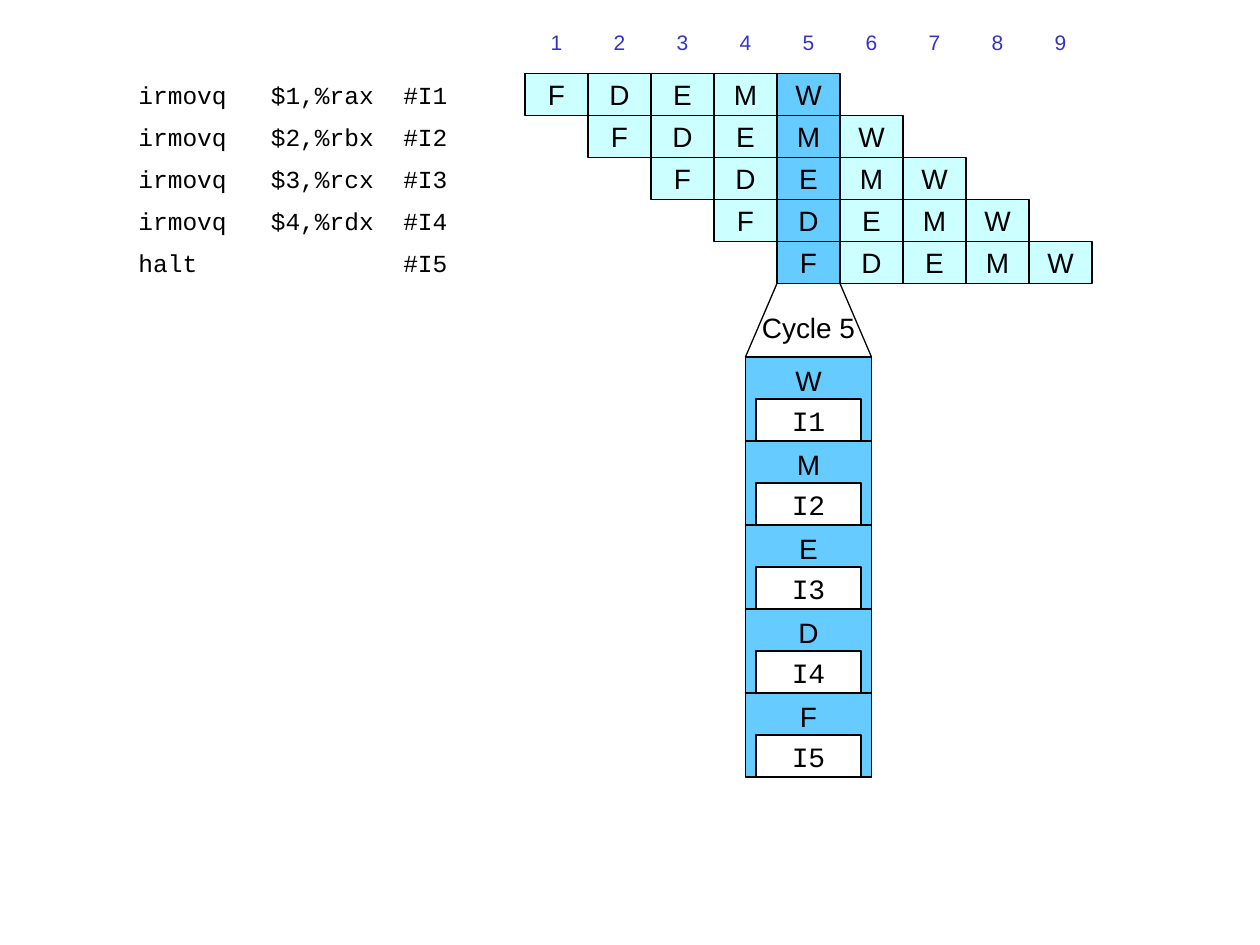
from dataclasses import dataclass
from lxml.etree import SubElement
from pptx import Presentation
from pptx.dml.color import RGBColor
from pptx.enum.shapes import MSO_CONNECTOR as Link, MSO_SHAPE as Kind
from pptx.enum.text import MSO_ANCHOR as Anchor, PP_ALIGN as Align
from pptx.oxml.ns import qn
from pptx.util import Inches, Pt

# The slide is a grid of 120 columns by 90 rows, twelve to the inch.
COLS, ROWS = 120, 90
STEP, ROW = 6, 4            # one clock cycle across, one instruction down
LEFT, TOP = 50, 7           # first cell of the pipeline
WIDE, TALL = 12, 8          # one stage of the enlarged cycle
STAGES = "FDEMW"
FOCUS = 5
CODE = (
    "irmovq   $1,%rax  #I1",
    "irmovq   $2,%rbx  #I2",
    "irmovq   $3,%rcx  #I3",
    "irmovq   $4,%rdx  #I4",
    "halt              #I5",
)
BLACK, WHITE, INDIGO = "000000", "FFFFFF", "3333CC"
PALE, BLUE = "CCFFFF", "66CCFF"


@dataclass(frozen=True)
class Style:
    fill: str
    size: int = 16
    font: str = "Arial"
    color: str = BLACK
    edge: float = 0
    align: Align = Align.CENTER
    anchor: Anchor = Anchor.MIDDLE


LABEL = Style(WHITE, 12, color=INDIGO)
LINE = Style(WHITE, 14, "Courier New", align=Align.LEFT)
CELL = Style(PALE, edge=1)
HOT = Style(BLUE, edge=1)
STAGE = Style(BLUE, edge=0.75, anchor=Anchor.TOP)
NAME = Style(WHITE, font="Courier New", edge=0.75)


def unit(count: float) -> int:
    return Inches(count / 12)


def paint(code: str) -> RGBColor:
    return RGBColor.from_string(code)


def write(shape, text: str, style: Style) -> None:
    frame = shape.text_frame
    frame.text = text
    frame.vertical_anchor = style.anchor
    para = frame.paragraphs[0]
    para.alignment = style.align
    font = para.runs[0].font
    font.name, font.size = style.font, Pt(style.size)
    font.color.rgb = paint(style.color)


def box(shapes, text: str, style: Style, x: float, y: float,
        w: float, h: float = ROW) -> None:
    rect = shapes.add_shape(Kind.RECTANGLE, *map(unit, (x, y, w, h)))
    rect.shadow.inherit = False
    rect.fill.solid()
    rect.fill.fore_color.rgb = paint(style.fill)
    if style.edge:
        rect.line.color.rgb = paint(BLACK)
        rect.line.width = Pt(style.edge)
    else:
        rect.line.fill.background()
    rect.text_frame.word_wrap = False
    write(rect, text, style)


def ray(shapes, x1: float, y1: float, x2: float, y2: float) -> None:
    line = shapes.add_connector(Link.STRAIGHT, *map(unit, (x1, y1, x2, y2)))
    line.line.color.rgb = paint(BLACK)
    line.line.width = Pt(0.75)
    SubElement(line._element.spPr, qn("a:effectLst"))


def main() -> None:
    deck = Presentation()
    deck.slide_width, deck.slide_height = unit(COLS), unit(ROWS)
    shapes = deck.slides.add_slide(deck.slide_layouts[6]).shapes

    count = len(CODE) + len(STAGES) - 1
    for i in range(count):
        box(shapes, str(i + 1), LABEL, LEFT + i * STEP, 2, STEP)

    for i, code in enumerate(CODE):
        y = TOP + i * ROW
        box(shapes, code, LINE, 12, y, 34)
        group = shapes.add_group_shape().shapes
        for j, stage in enumerate(STAGES, i):
            style = HOT if j + 1 == FOCUS else CELL
            box(group, stage, style, LEFT + j * STEP, y, STEP)

    near = LEFT + (FOCUS - 1) * STEP
    base = TOP + len(CODE) * ROW
    far, top = near - (WIDE - STEP) / 2, base + 7
    ray(shapes, near, base, far, top)
    ray(shapes, near + STEP, base, far + WIDE, top)
    note = shapes.add_textbox(*map(unit, (far, base + 2, WIDE, 4.4)))
    note.text_frame.word_wrap = True
    write(note, f"Cycle {FOCUS}", Style(WHITE, anchor=Anchor.TOP))

    for i, stage in enumerate(reversed(STAGES)):
        y = top + i * TALL
        group = shapes.add_group_shape().shapes
        box(group, stage, STAGE, far, y, WIDE, TALL)
        box(group, f"I{i + 1}", NAME, far + 1, y + TALL - ROW, WIDE - 2)

    deck.save("out.pptx")


if __name__ == "__main__":
    main()
